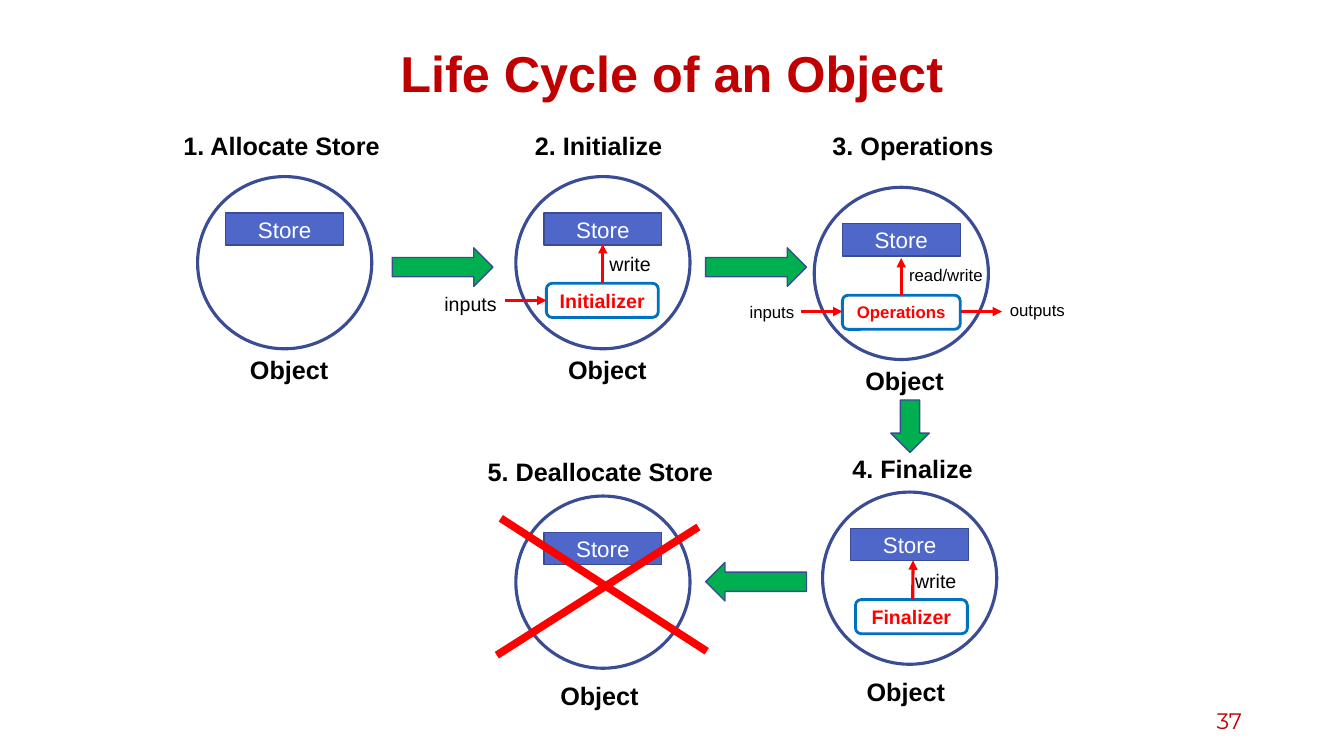
"""Build the slide on the life cycle of an object."""
import pptx
import pptx.util
import pptx.dml.color
import pptx.enum.shapes
import pptx.enum.text
import pptx.oxml

Cm, Pt = pptx.util.Cm, pptx.util.Pt
RGB = pptx.dml.color.RGBColor.from_string
SHAPE = pptx.enum.shapes.MSO_SHAPE
ALIGN = pptx.enum.text.PP_ALIGN
ANCHOR = pptx.enum.text.MSO_ANCHOR
COLORS = {"title": "C00000", "text": "000000", "store": "4E67C8", "outline": "3A4C94",
          "white": "FFFFFF", "flow": "00B050", "red": "FF0000", "routine": "0070C0"}

prs = pptx.Presentation()
prs.slide_width, prs.slide_height = Cm(33.87), Cm(19.05)
slide = prs.slides.add_slide(prs.slide_layouts[6])


def add_text(box, text, size, color="text", bold=False, align=ALIGN.LEFT,
             anchor=ANCHOR.TOP, font="Arial", kind=None):
    """Put text in a new text box, or in a new shape of the given kind."""
    box = [Cm(v) for v in box]
    sp = slide.shapes.add_shape(kind, *box) if kind else slide.shapes.add_textbox(*box)
    tf = sp.text_frame
    tf.word_wrap = True
    tf.vertical_anchor = anchor
    p = tf.paragraphs[0]
    p.text, p.alignment = text, align
    p.font.size, p.font.name, p.font.bold = Pt(size), font, bold
    p.font.color.rgb = RGB(COLORS[color])
    return sp


def style(sp, line, width, fill=None):
    """Set the outline and the fill of a shape."""
    sp.shadow.inherit = False
    sp.line.color.rgb, sp.line.width = RGB(COLORS[line]), Pt(width)
    if fill:
        sp.fill.solid()
        sp.fill.fore_color.rgb = RGB(COLORS[fill])
    else:
        sp.fill.background()


title = add_text((2.33, 1.02, 29.21, 1.78), "Life Cycle of an Object", 36, "title", True,
                 ALIGN.CENTER, ANCHOR.MIDDLE)
title.text_frame.paragraphs[0].line_spacing = 0.9
add_text((23.93, 17.65, 7.62, 1.02), "37", 16, "title", False, ALIGN.RIGHT, ANCHOR.MIDDLE,
         "Montserrat")

stages = [
    ("1. Allocate Store", (4.37, 3.15, 5.64), (4.98, 4.45), (6.05, 8.81)),
    ("2. Initialize", (13.23, 3.15, 4.5), (13, 4.45), (14.07, 8.81)),
    ("3. Operations", (20.73, 3.15, 5.38), (20.52, 4.72), (21.56, 9.09)),
    ("4. Finalize", (21.23, 11.3, 5.38), (20.73, 12.4), (21.59, 16.92)),
    ("5. Deallocate Store", (12.04, 11.38, 6.83), (13, 12.5), (13.87, 17.02)),
]
for heading, heading_box, (x, y), caption_at in stages:
    add_text((*heading_box, 1.02), heading, 18, bold=True)
    add_text((*caption_at, 2.82, 1.02), "Object", 18, bold=True)
    store = add_text((x + 0.71, y + 0.92, 2.97, 0.81), "Store", 16, "white", False,
                     ALIGN.CENTER, ANCHOR.MIDDLE, kind=SHAPE.RECTANGLE)
    style(store, "outline", 1, "store")
    circle = slide.shapes.add_shape(SHAPE.OVAL, Cm(x), Cm(y), Cm(4.39), Cm(4.34))
    style(circle, "outline", 2.25)

for x, y, length, rotation in [(10.67, 5.46, 2.54, 270), (18.57, 5.46, 2.54, 270),
                               (22.45, 10.08, 1.32, 0), (18.57, 13.39, 2.54, 90)]:
    flow = slide.shapes.add_shape(SHAPE.DOWN_ARROW, Cm(x), Cm(y), Cm(0.97), Cm(length))
    flow.rotation = rotation
    style(flow, "outline", 1, "flow")

for name, x, y, width, size in [("Initializer", 13.77, 7.14, 2.82, 14),
                                ("Operations", 21.23, 7.44, 2.97, 12),
                                ("Finalizer", 21.56, 15.11, 2.82, 14)]:
    routine = add_text((x, y, width, 0.86), name, size, "red", True, ALIGN.CENTER,
                       ANCHOR.MIDDLE, kind=SHAPE.ROUNDED_RECTANGLE)
    style(routine, "routine", 2)

for label, x, y, width, size in [("inputs", 10.95, 7.24, 1.83, 14),
                                 ("write", 15.11, 6.22, 1.83, 14),
                                 ("inputs", 18.64, 7.47, 2.13, 12),
                                 ("read/write", 22.66, 6.55, 2.97, 12),
                                 ("outputs", 25.2, 7.44, 2.13, 12),
                                 ("write", 22.81, 14.2, 1.83, 14)]:
    add_text((x, y, width, 0.86 if size == 14 else 0.76), label, size)

data_arrows = [(12.73, 7.57, 13.77, 7.57), (15.19, 7.14, 15.19, 6.15),
               (20.19, 7.85, 21.23, 7.85), (22.71, 7.44, 22.71, 6.5),
               (24.21, 7.85, 25.25, 7.85), (23, 15.11, 23.01, 14.12)]
cross = [(12.62, 13.06, 17.81, 16.41), (12.52, 16.51, 17.6, 13.28)]
for ends in data_arrows + cross:
    line = slide.shapes.add_connector(pptx.enum.shapes.MSO_CONNECTOR.STRAIGHT,
                                      *[Cm(v) for v in ends])
    line.line.color.rgb = RGB(COLORS["red"])
    line.line.width = Pt(5.5 if ends in cross else 2.25)
    if ends in data_arrows:
        tail = pptx.oxml.xmlchemy.OxmlElement("a:tailEnd")
        tail.set("type", "triangle")
        line.line._get_or_add_ln().append(tail)
    line._element.spPr.append(pptx.oxml.xmlchemy.OxmlElement("a:effectLst"))

prs.save("out.pptx")
